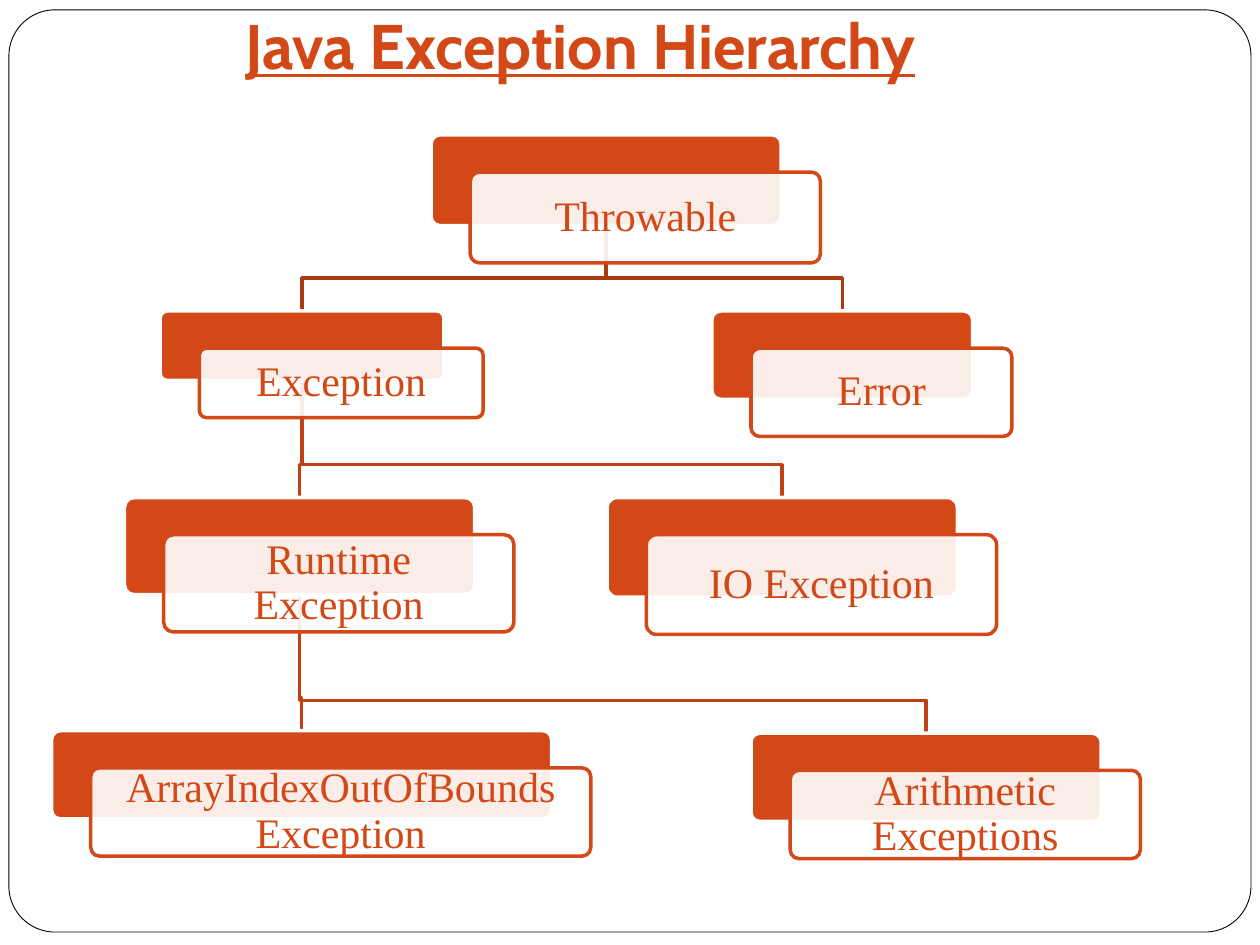
from dataclasses import dataclass

from lxml.etree import SubElement
from pptx import Presentation
from pptx.dml.color import RGBColor
from pptx.enum.shapes import MSO_SHAPE
from pptx.enum.text import MSO_ANCHOR, MSO_AUTO_SIZE, PP_ALIGN
from pptx.oxml.ns import qn
from pptx.shapes.autoshape import Shape
from pptx.slide import Slide
from pptx.util import Cm, Pt

ORANGE = RGBColor(0xD3, 0x48, 0x17)
DARK_ORANGE = RGBColor(0xA9, 0x3A, 0x12)
MID_ORANGE = RGBColor(0xBF, 0x41, 0x15)
WHITE = RGBColor(0xFF, 0xFF, 0xFF)
BLACK = RGBColor(0, 0, 0)

OFFSET_X, OFFSET_Y = 0.79, 0.75
BEND_RISE = 0.66


@dataclass(frozen=True)
class Node:
    text: str
    left: float
    top: float
    width: float
    height: float

    @property
    def center(self) -> float:
        return self.left + self.width / 2

    @property
    def bottom(self) -> float:
        return self.top + self.height


@dataclass(frozen=True)
class Link:
    parent: Node
    child: Node
    color: RGBColor


THROWABLE = Node("Throwable", 8.69, 2.72, 7.06, 1.83)
EXCEPTION = Node("Exception", 3.23, 6.27, 5.72, 1.4)
ERROR = Node("Error", 14.35, 6.27, 5.26, 1.78)
RUNTIME = Node("Runtime Exception", 2.51, 10.03, 7.06, 1.96)
IO_EXCEPTION = Node("IO Exception", 12.24, 10.03, 7.06, 2.01)
ARRAY_INDEX = Node("ArrayIndexOutOfBounds Exception", 1.04, 14.73, 10.08, 1.78)
ARITHMETIC = Node("Arithmetic Exceptions", 15.14, 14.78, 7.06, 1.78)

NODES = [THROWABLE, EXCEPTION, RUNTIME, ARRAY_INDEX, ARITHMETIC, IO_EXCEPTION, ERROR]
LINKS = [
    Link(THROWABLE, ERROR, DARK_ORANGE),
    Link(EXCEPTION, IO_EXCEPTION, MID_ORANGE),
    Link(RUNTIME, ARITHMETIC, MID_ORANGE),
    Link(RUNTIME, ARRAY_INDEX, MID_ORANGE),
    Link(EXCEPTION, RUNTIME, MID_ORANGE),
    Link(THROWABLE, EXCEPTION, DARK_ORANGE),
]


def set_line(sp: Shape, color: RGBColor, width: float) -> None:
    sp.shadow.inherit = False
    sp.line.color.rgb = color
    sp.line.width = Pt(width)


def add_round_rect(s: Slide, left: float, top: float, width: float,
                   height: float, radius: float) -> Shape:
    sp = s.shapes.add_shape(MSO_SHAPE.ROUNDED_RECTANGLE,
                            Cm(left), Cm(top), Cm(width), Cm(height))
    sp.adjustments[0] = radius
    return sp


def add_frame(s: Slide) -> None:
    sp = add_round_rect(s, 0.18, 0.2, 25.04, 18.59, 0.05)
    sp.fill.background()
    set_line(sp, BLACK, 0.5)


def format_title(s: Slide) -> None:
    sp = s.shapes.title
    sp.left, sp.top, sp.width, sp.height = Cm(1.27), Cm(0), Cm(22.86), Cm(1.9)
    tf = sp.text_frame
    tf.text = "Java Exception Hierarchy"
    tf.auto_size = MSO_AUTO_SIZE.NONE
    tf.vertical_anchor = MSO_ANCHOR.BOTTOM
    tf.margin_left, tf.margin_bottom = Cm(3.68), Cm(0.25)
    p = tf.paragraphs[0]
    p.alignment = PP_ALIGN.LEFT
    f = p.runs[0].font
    f.name, f.size, f.bold, f.underline = "Cabin", Pt(36), True, True
    f.color.rgb = ORANGE


def add_link(s: Slide, link: Link) -> None:
    parent, child = link.parent, link.child
    bend = child.top - BEND_RISE
    points = [(parent.center, bend), (child.center, bend), (child.center, child.top)]
    fb = s.shapes.build_freeform(Cm(parent.center), Cm(parent.bottom))
    fb.add_line_segments([(Cm(x), Cm(y)) for x, y in points], close=False)
    sp = fb.convert_to_shape()
    sp.fill.background()
    set_line(sp, link.color, 2)


def add_node(s: Slide, node: Node) -> None:
    back = add_round_rect(s, node.left, node.top, node.width, node.height, 0.1)
    back.fill.solid()
    back.fill.fore_color.rgb = ORANGE
    set_line(back, WHITE, 2)

    front = add_round_rect(s, node.left + OFFSET_X, node.top + OFFSET_Y,
                           node.width, node.height, 0.1)
    front.fill.solid()
    front.fill.fore_color.rgb = WHITE
    color = front.fill._xPr.find(qn("a:solidFill"))[0]
    SubElement(color, qn("a:alpha")).set("val", "90000")
    set_line(front, ORANGE, 2)

    tf = front.text_frame
    tf.text = node.text
    tf.word_wrap = True
    tf.vertical_anchor = MSO_ANCHOR.MIDDLE
    tf.margin_left = tf.margin_right = tf.margin_top = tf.margin_bottom = Cm(0.3)
    p = tf.paragraphs[0]
    p.alignment = PP_ALIGN.CENTER
    p.line_spacing = 0.9
    f = p.runs[0].font
    f.name, f.size = "Times New Roman", Pt(24)
    f.color.rgb = ORANGE


def main() -> None:
    prs = Presentation()
    prs.slide_width, prs.slide_height = Cm(25.4), Cm(19.05)
    s = prs.slides.add_slide(prs.slide_layouts[5])
    add_frame(s)
    format_title(s)
    for link in LINKS:
        add_link(s, link)
    for node in NODES:
        add_node(s, node)
    prs.save("out.pptx")


if __name__ == "__main__":
    main()
